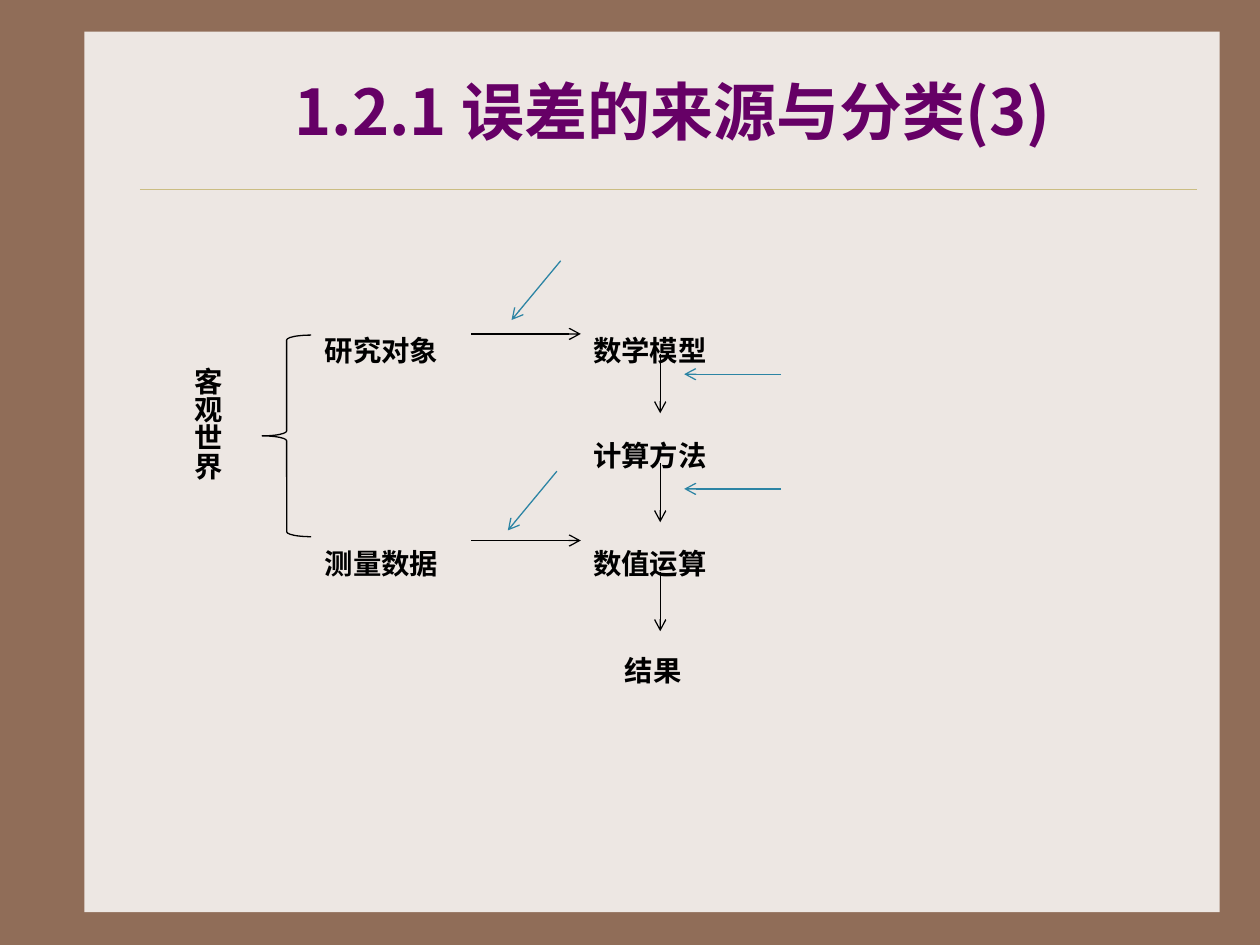
"""Build the slide on the sources and classes of errors, on a grid of 100 columns by 75 rows."""
from pptx import Presentation
from pptx.dml.color import RGBColor
from pptx.enum.shapes import MSO_CONNECTOR as Connector, MSO_SHAPE as Shape
from pptx.enum.text import MSO_ANCHOR as Anchor, PP_ALIGN as Align
from pptx.oxml.ns import qn
from pptx.util import Inches, Pt
from lxml.etree import SubElement

BROWN = RGBColor(0x90, 0x6D, 0x58)
CREAM = RGBColor(0xED, 0xE7, 0xE3)
SAND = RGBColor(0xCB, 0xBD, 0x83)
PURPLE = RGBColor(0x66, 0x00, 0x66)
BLACK = RGBColor(0x00, 0x00, 0x00)
BLUE = RGBColor(0x2C, 0x84, 0xA4)
CJK_FONT = "Noto Sans CJK JP"

deck = Presentation()
deck.slide_width, deck.slide_height = Inches(10), Inches(7.5)
CELL = deck.slide_width / 100
page = deck.slides.add_slide(deck.slide_layouts[6])
page.background.fill.solid()
page.background.fill.fore_color.rgb = BROWN


def add_text(text, *, place, size=28, font="Times New Roman", color=BLACK,
             align=Align.LEFT, anchor=Anchor.TOP, raised=True, wrap=False, vertical=False):
    box = page.shapes.add_textbox(*(round(CELL * part) for part in place))
    frame = box.text_frame
    frame.word_wrap = wrap
    frame.vertical_anchor = anchor
    if vertical:
        frame.margin_left = frame.margin_right = Inches(0.05)
        frame.margin_top = frame.margin_bottom = Inches(0.1)
        frame._txBody.bodyPr.set("vert", "eaVert")
    para = frame.paragraphs[0]
    para.alignment = align
    span = para.add_run()
    span.text = text
    span.font.size = Pt(size)
    span.font.bold = True
    span.font.name = font
    span.font.color.rgb = color
    properties = span._r.get_or_add_rPr()
    SubElement(properties, qn("a:ea")).set("typeface", CJK_FONT)
    if raised:
        properties.set("baseline", "30000")


def add_line(ends, color, width=0.75, arrow=True):
    line = page.shapes.add_connector(Connector.STRAIGHT, *(round(CELL * end) for end in ends))
    line.line.color.rgb = color
    line.line.width = Pt(width)
    if arrow:
        SubElement(line.line._get_or_add_ln(), qn("a:tailEnd")).set("type", "arrow")
    SubElement(line._element.spPr, qn("a:effectLst"))


panel = page.shapes.add_shape(Shape.RECTANGLE, *(round(CELL * part) for part in (6.7, 2.5, 90.1, 69.9)))
panel.shadow.inherit = False
panel.fill.solid()
panel.fill.fore_color.rgb = CREAM
panel.line.fill.background()
add_line((11.1, 15, 95, 15), SAND, width=0.25, arrow=False)
add_text("1.2.1 误差的来源与分类(3)", place=(11.7, 2.5, 83.3, 12.5), size=36, font=CJK_FONT,
         color=PURPLE, align=Align.CENTER, anchor=Anchor.MIDDLE, raised=False, wrap=True)

LEFT_COLUMN, MODEL_COLUMN, RESULT_COLUMN = 24.8, 46.1, 48.6
MODEL_ROW, METHOD_ROW, COMPUTE_ROW, RESULT_ROW = 25.5, 33.8, 42.4, 50.9
for label, column, row, width in (
    ("研究对象", LEFT_COLUMN, MODEL_ROW, 15.7),
    ("测量数据", LEFT_COLUMN, COMPUTE_ROW, 15.7),
    ("数学模型", MODEL_COLUMN, MODEL_ROW, 15.7),
    ("计算方法", MODEL_COLUMN, METHOD_ROW, 15.7),
    ("数值运算", MODEL_COLUMN, COMPUTE_ROW, 15.7),
    ("结果", RESULT_COLUMN, RESULT_ROW, 7.5),
):
    add_text(label, place=(column, row, width, 5.7))
add_text("客观世界", place=(13.4, 29.3, 6.6, 15.1), vertical=True, wrap=True)

for row in (26.5, 42.9):
    add_line((37.4, row, MODEL_COLUMN, row), BLACK)
for step in range(3):
    row = 28.1 + 8.65 * step
    add_line((52.4, row, 52.4, row + 4.7), BLACK)
for row in (29.7, 38.8):
    add_line((62, row, 54.3, row), BLUE)
for column, row in ((44.5, 20.7), (44.2, 37.4)):
    add_line((column, row, column - 3.9, row + 4.7), BLUE)

brace = page.shapes.add_shape(Shape.LEFT_BRACE, *(round(CELL * part) for part in (20.8, 26.6, 3.9, 16)))
brace.shadow.inherit = False
brace.adjustments[0] = 0.1
brace.fill.background()
brace.line.color.rgb = BLACK
brace.line.width = Pt(0.75)

deck.save("out.pptx")
